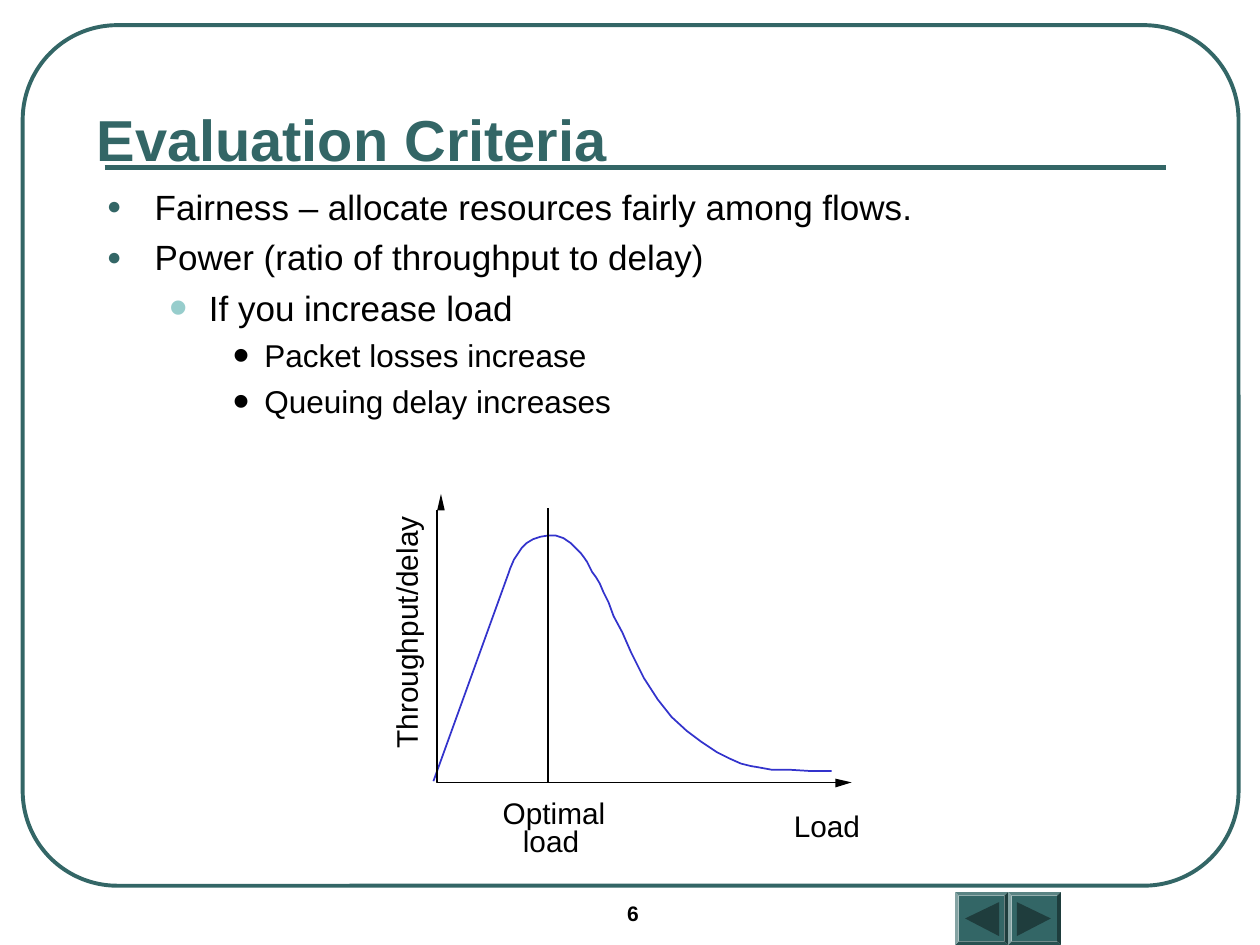
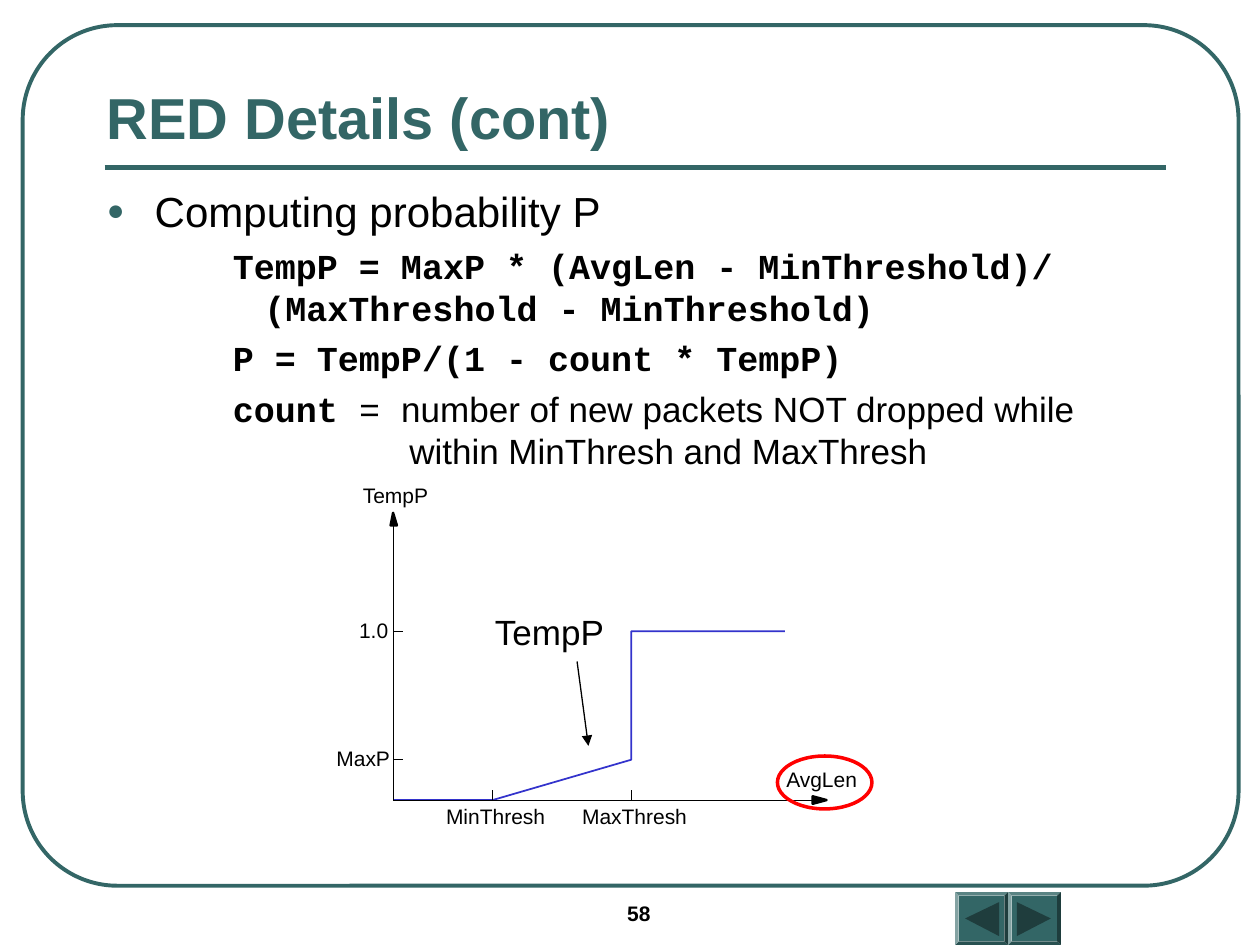
from lxml import etree
from pptx import Presentation
from pptx.dml.color import RGBColor
from pptx.enum.shapes import MSO_CONNECTOR, MSO_SHAPE
from pptx.enum.text import MSO_ANCHOR, MSO_AUTO_SIZE
from pptx.oxml.ns import qn
from pptx.util import Pt

PX = 9144  # 100 px to the inch
STRAIGHT = MSO_CONNECTOR.STRAIGHT
ROUNDED, OVAL, BEVEL = MSO_SHAPE.ROUNDED_RECTANGLE, MSO_SHAPE.OVAL, MSO_SHAPE.BEVEL
TOP, BOTTOM = MSO_ANCHOR.TOP, MSO_ANCHOR.BOTTOM
FIXED, GROW = MSO_AUTO_SIZE.NONE, MSO_AUTO_SIZE.SHAPE_TO_FIT_TEXT

COLORS = {"teal": "336666", "dark teal": "1F3D3D", "aqua": "97CDCC",
          "black": "000000", "curve": "3333CC", "highlight": "FF0000"}
SANS, MONO = "Arial", "Courier New"

# Paragraph styles: left margin and first-line indent in px, bullet
BULLETS = {
    "main": (38, -38, ("●", "teal", 70)),
    "sub": (81, -31, ("•", "aqua", 150)),
    "detail": (125, -25, ("•", "black", 150)),
    "formula": (125, -25, None),
    "continuation": (240, 0, None),
}

POWER_CURVE = [
    (44, 230), (104, 64), (105, 61), (108, 54), (114, 45), (118, 41),
    (123, 38), (129, 36), (135, 35), (141, 35), (147, 37), (153, 41),
    (158, 46), (161, 49), (164, 53), (166, 56), (168, 60), (170, 64),
    (173, 68), (176, 73), (179, 80), (183, 88), (187, 99), (194, 112),
    (201, 128), (211, 148), (222, 165), (233, 179), (245, 190), (257, 199),
    (269, 207), (279, 212), (288, 216), (296, 218), (302, 219), (313, 221),
    (328, 221), (344, 222), (360, 222),
]


def rgb(name):
    return RGBColor.from_string(COLORS[name])


def paint(shape, fill=None, line=None, width=1):
    shape.shadow.inherit = False
    if fill:
        shape.fill.solid()
        shape.fill.fore_color.rgb = rgb(fill)
    else:
        shape.fill.background()
    if line:
        shape.line.color.rgb = rgb(line)
        shape.line.width = Pt(width)
    else:
        shape.line.fill.background()


def style_run(run, size, font=SANS, bold=False, color="black"):
    run.font.name, run.font.size, run.font.bold = font, Pt(size), bold
    run.font.color.rgb = rgb(color)


def add_preset(slide, kind, box, **look):
    shape = slide.shapes.add_shape(kind, *(value * PX for value in box))
    paint(shape, **look)
    return shape


def add_line(slide, start, end, color="black", width=1, arrow=False):
    line = slide.shapes.add_connector(
        STRAIGHT, *(value * PX for value in (*start, *end)))
    line.line.color.rgb = rgb(color)
    line.line.width = Pt(width)
    if arrow:
        etree.SubElement(line.line._get_or_add_ln(), qn("a:tailEnd"), type="triangle")
    etree.SubElement(line._element.spPr, qn("a:effectLst"))


def add_path(slide, points, closed=False, **look):
    points = [(x * PX, y * PX) for x, y in points]
    builder = slide.shapes.build_freeform(*points[0], scale=1.0)
    builder.add_line_segments(points[1:], close=closed)
    paint(builder.convert_to_shape(), **look)


def add_text(slide, box, text="", size=12, inset=(10, 5), anchor=TOP,
             wrap=True, **style):
    text_box = slide.shapes.add_textbox(*(value * PX for value in box))
    frame = text_box.text_frame
    frame.word_wrap = wrap
    frame.auto_size = FIXED if wrap else GROW
    frame.vertical_anchor = anchor
    frame.margin_left = frame.margin_right = inset[0] * PX
    frame.margin_top = frame.margin_bottom = inset[1] * PX
    frame.text = text
    for run in frame.paragraphs[0].runs:
        style_run(run, size, **style)
    return text_box


def add_label(slide, box, text, size):
    return add_text(slide, box, text, size, inset=(0, 0), wrap=False)


def placer(box):
    """Return a function that moves local points into the box."""
    return lambda x, y: (box[0] + x, box[1] + y)


def add_button(slide, box, forward):
    at, side = placer(box), box[2]
    button = add_preset(slide, BEVEL, box, fill="teal")
    button.adjustments[0] = 0.07
    triangle = [(8, 21), (35, 8), (35, 35)]
    add_path(slide, [at(side - x if forward else x, y) for x, y in triangle],
             closed=True, fill="dark teal")


def frame_slide(presentation, title, title_box, number):
    slide = presentation.slides.add_slide(presentation.slide_layouts[6])
    # Border and title rule
    border = add_preset(slide, ROUNDED, (18, 20, 965, 683), line="teal", width=2.25)
    border.adjustments[0] = 0.11
    add_line(slide, (83, 133), (925, 133), "teal", 3)
    # Navigation buttons
    for index, forward in enumerate((False, True)):
        add_button(slide, (758 + 42 * index, 708, 42, 42), forward)
    # Slide number and title
    add_text(slide, (488, 710, 117, 33), number, 12, bold=True)
    add_text(slide, title_box, title, 33, anchor=BOTTOM, bold=True, color="teal")
    return slide


def set_bullet(paragraph, style):
    margin, indent, bullet = BULLETS[style]
    properties = paragraph._p.get_or_add_pPr()
    properties.set("marL", str(margin * PX))
    properties.set("indent", str(indent * PX))
    if not bullet:
        etree.SubElement(properties, qn("a:buNone"))
        return
    character, color, percent = bullet
    holder = etree.SubElement(properties, qn("a:buClr"))
    etree.SubElement(holder, qn("a:srgbClr"), val=COLORS[color])
    etree.SubElement(properties, qn("a:buSzPct"), val=str(percent * 1000))
    etree.SubElement(properties, qn("a:buFont"), typeface=SANS)
    etree.SubElement(properties, qn("a:buChar"), char=character)


def add_body(slide, box, items):
    """Each item is style, size, space before, and runs of text, font, bold."""
    frame = add_text(slide, box).text_frame
    for index, (style, size, space, runs) in enumerate(items):
        paragraph = frame.add_paragraph() if index else frame.paragraphs[0]
        paragraph.space_before = Pt(space)
        set_bullet(paragraph, style)
        for position, (text, font, bold) in enumerate(runs):
            if position:
                paragraph.add_run().text = text
            else:
                paragraph.text = text
            for run in paragraph.runs[position:]:
                style_run(run, size, font, bold)


def draw_power_chart(slide, box):
    at = placer(box)
    # Curve, axes and optimum
    add_path(slide, [at(*point) for point in POWER_CURVE], line="curve")
    add_path(slide, [at(47, 15), at(47, 231), at(365, 231)], line="black")
    for head in ([(363, 228), (376, 231), (363, 235)],
                 [(47, 15), (50, 2), (53, 15)]):
        add_path(slide, [at(*point) for point in head], closed=True, fill="black")
    add_line(slide, at(135, 231), at(135, 13))
    # Labels
    for text, x, y, width in (("Optimal", 99, 241, 84), ("load", 115, 263, 47),
                              ("Load", 330, 251, 55)):
        add_label(slide, (*at(x, y), width, 28), text, 17)
    axis_title = add_label(slide, (*at(-72, 96), 188, 28), "Throughput/delay", 17)
    axis_title.rotation = 270


def draw_drop_chart(slide, box):
    at = placer(box)
    left, base, low, high, maximum = 52, 255, 131, 241, 121
    limit = 223
    thin = 0.62
    # Drop probability
    steps = [(left, base), (low, base), (high, limit), (high, maximum), (363, maximum)]
    add_path(slide, [at(*point) for point in steps], line="curve")
    # Axes, arrowheads and ticks
    add_line(slide, at(left, base), at(left, 35), width=thin)
    add_line(slide, at(left, base), at(387, base), width=thin)
    for head in ([(50, 37), (52, 27), (55, 37)],
                 [(385, 252), (396, 255), (385, 258)]):
        add_path(slide, [at(*point) for point in head], closed=True,
                 fill="black", line="black", width=1.39)
    for x in (low, high):
        add_line(slide, at(x, base), at(x, base - 8), width=thin)
    for y in (maximum, limit):
        add_line(slide, at(left, y), at(left + 8, y), width=thin)
    # Labels
    for text, x, y, width in (
            ("TempP", 28, 3, 56), ("1.0", 25, 110, 25), ("MaxP", 7, 212, 45),
            ("MinThresh", 94, 258, 81), ("MaxThresh", 202, 258, 86),
            ("AvgLen", 364, 228, 58)):
        add_label(slide, (*at(x, y), width, 20), text, 12)
    # Callouts
    add_line(slide, at(198, 145), at(207, 212), width=0.75, arrow=True)
    add_text(slide, (*at(123, 100), 109, 44), "TempP", 20, wrap=False)
    add_preset(slide, OVAL, (*at(357, 220), 75, 42), line="highlight", width=2)


def main():
    presentation = Presentation()
    presentation.slide_width, presentation.slide_height = 1000 * PX, 750 * PX
    body_box = (75, 142, 850, 450)

    criteria = frame_slide(presentation, "Evaluation Criteria", (67, 67, 850, 75), "6")
    outline = [
        ("main", 20, 5, "Fairness – allocate resources fairly among flows."),
        ("main", 20, 5, "Power (ratio of throughput to delay)"),
        ("sub", 20, 5, "If you increase load"),
        ("detail", 18, 4.5, "Packet losses increase"),
        ("detail", 18, 4.5, "Queuing delay increases"),
    ]
    add_body(criteria, body_box,
             [(*layout, [(text, SANS, False)]) for *layout, text in outline])
    draw_power_chart(criteria, (300, 390, 400, 300))

    details = frame_slide(presentation, "RED Details (cont)", (75, 0, 850, 125), "58")
    add_body(details, body_box, [
        ("main", 24, 6, [("Computing probability P", SANS, False)]),
        ("formula", 20, 5, [("TempP = MaxP * (AvgLen - MinThreshold)/\v"
                             "(MaxThreshold - MinThreshold)", MONO, True)]),
        ("formula", 20, 5, [("P = TempP/(1 - count * TempP)", MONO, True)]),
        ("formula", 20, 5, [("count ", MONO, True), ("= ", MONO, False),
                            ("number of new packets NOT dropped while", SANS, False)]),
        ("continuation", 20, 0, [("within MinThresh and MaxThresh", SANS, False)]),
    ])
    draw_drop_chart(details, (260, 380, 440, 290))

    presentation.save("out.pptx")


if __name__ == "__main__":
    main()
